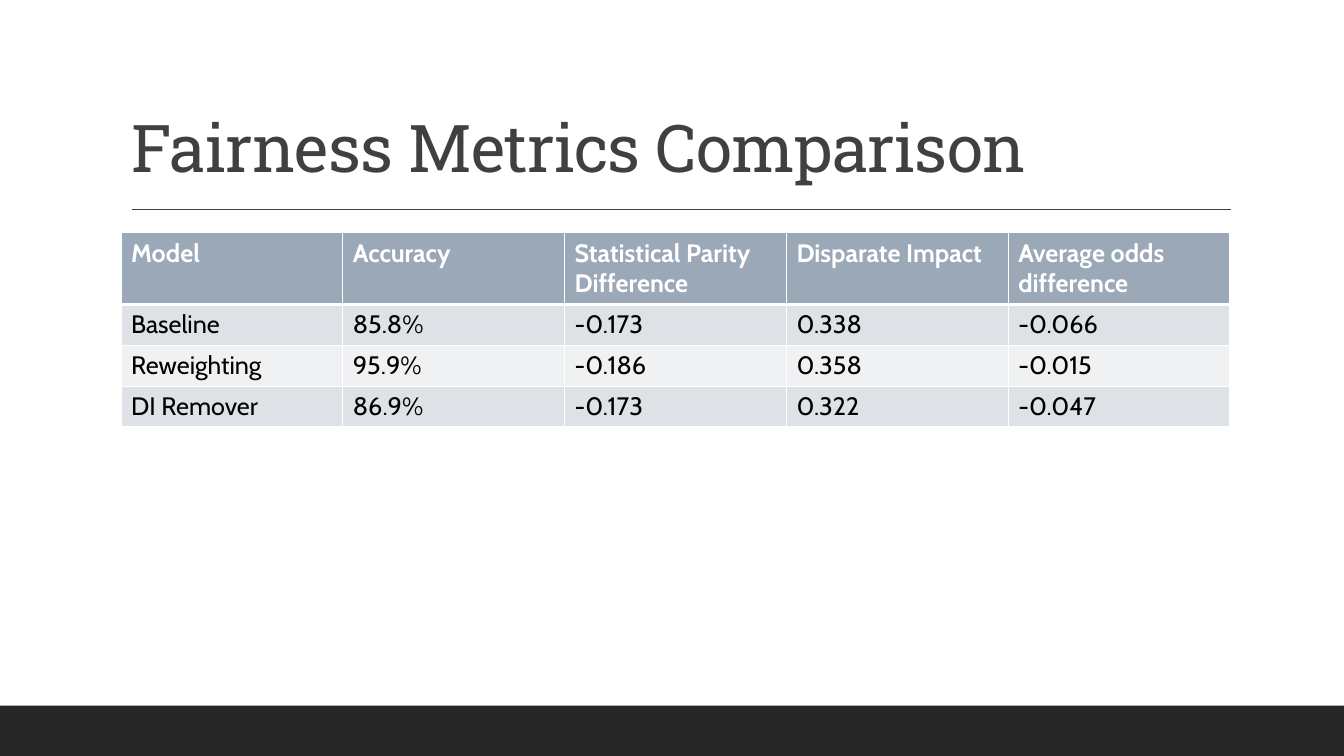
from lxml.etree import SubElement
from pptx import Presentation
from pptx.dml.color import RGBColor
from pptx.enum.shapes import MSO_CONNECTOR, MSO_SHAPE
from pptx.enum.text import MSO_ANCHOR, MSO_AUTO_SIZE, PP_ALIGN
from pptx.oxml.ns import qn
from pptx.util import Inches, Pt

WHITE = RGBColor(0xFF, 0xFF, 0xFF)
BLACK = RGBColor(0x00, 0x00, 0x00)
CHARCOAL = RGBColor(0x40, 0x40, 0x40)
FOOTER_DARK = RGBColor(0x26, 0x26, 0x26)
HEADER_SLATE = RGBColor(0x9B, 0xA8, 0xB7)
BAND_DARK = RGBColor(0xDE, 0xE1, 0xE6)
BAND_LIGHT = RGBColor(0xEF, 0xF1, 0xF3)

METRICS = [
    ("Model", "Accuracy", "Statistical Parity Difference", "Disparate Impact", "Average odds difference"),
    ("Baseline", "85.8%", "-0.173", "0.338", "-0.066"),
    ("Reweighting", "95.9%", "-0.186", "0.358", "-0.015"),
    ("DI Remover", "86.9%", "-0.173", "0.322", "-0.047"),
]


def write_text(frame, text, *, font, size, color, bold=False, spacing=None, line_spacing=None):
    """Write one left-aligned, formatted paragraph into a text frame."""
    paragraph = frame.paragraphs[0]
    paragraph.alignment = PP_ALIGN.LEFT
    if line_spacing is not None:
        paragraph.line_spacing = line_spacing
    run = paragraph.add_run()
    run.text = text
    run.font.name = font
    run.font.size = Pt(size)
    run.font.bold = bold
    run.font.color.rgb = color
    if spacing is not None:
        run.font._element.set("spc", str(round(spacing * 100)))


def add_footer_band(slide):
    """Draw the dark band along the bottom edge."""
    band = slide.shapes.add_shape(
        MSO_SHAPE.RECTANGLE, Inches(0), Inches(7), Inches(13.33), Inches(0.5)
    )
    band.shadow.inherit = False
    band.fill.solid()
    band.fill.fore_color.rgb = FOOTER_DARK
    band.line.fill.background()


def add_title_rule(slide):
    """Draw the thin rule under the title."""
    rule = slide.shapes.add_connector(
        MSO_CONNECTOR.STRAIGHT, Inches(1.31), Inches(2.08), Inches(12.21), Inches(2.08)
    )
    rule.line.color.rgb = CHARCOAL
    rule.line.width = Pt(1)
    SubElement(rule._element.spPr, qn("a:effectLst"))


def place_title(slide, text):
    """Move the title placeholder into position and fill it."""
    title = slide.shapes.title
    title.left, title.top = Inches(1.2), Inches(0.31)
    title.width, title.height = Inches(11), Inches(1.59)
    frame = title.text_frame
    frame.word_wrap = True
    frame.auto_size = MSO_AUTO_SIZE.NONE
    frame.vertical_anchor = MSO_ANCHOR.BOTTOM
    write_text(frame, text, font="Roboto Slab", size=47, color=CHARCOAL, spacing=-0.5, line_spacing=0.9)


def set_border(cell, side, width):
    """Give one side of a cell a white border."""
    border = SubElement(cell._tc.get_or_add_tcPr(), qn(f"a:{side}"), w=str(Pt(width)))
    fill = SubElement(border, qn("a:solidFill"))
    SubElement(fill, qn("a:srgbClr"), val=str(WHITE))


def format_cell(cell, text, row):
    """Fill, border and label a cell according to its row."""
    is_header = row == 0
    widths = {
        "lnL": 1,
        "lnR": 1,
        "lnT": 3 if row == 1 else 1,
        "lnB": 3 if is_header else 1,
    }
    for side, width in widths.items():
        set_border(cell, side, width)
    band = BAND_DARK if row % 2 else BAND_LIGHT
    cell.fill.solid()
    cell.fill.fore_color.rgb = HEADER_SLATE if is_header else band
    write_text(
        cell.text_frame, text, font="Cabin", size=18, color=WHITE if is_header else BLACK, bold=is_header
    )


def add_metrics_table(slide, metrics):
    """Add the comparison table with a taller header row."""
    table = slide.shapes.add_table(
        len(metrics), len(metrics[0]), Inches(1.2), Inches(2.31), Inches(11), Inches(1.9)
    ).table
    for row, values in enumerate(metrics):
        table.rows[row].height = Inches(0.4 if row else 0.7)
        for column, value in enumerate(values):
            format_cell(table.cell(row, column), value, row)


def main():
    """Build and save the fairness comparison slide."""
    presentation = Presentation()
    presentation.slide_width = Inches(13.33)
    presentation.slide_height = Inches(7.5)
    slide = presentation.slides.add_slide(presentation.slide_layouts.get_by_name("Title Only"))
    add_footer_band(slide)
    add_title_rule(slide)
    place_title(slide, "Fairness Metrics Comparison")
    add_metrics_table(slide, METRICS)
    presentation.save("out.pptx")


if __name__ == "__main__":
    main()
